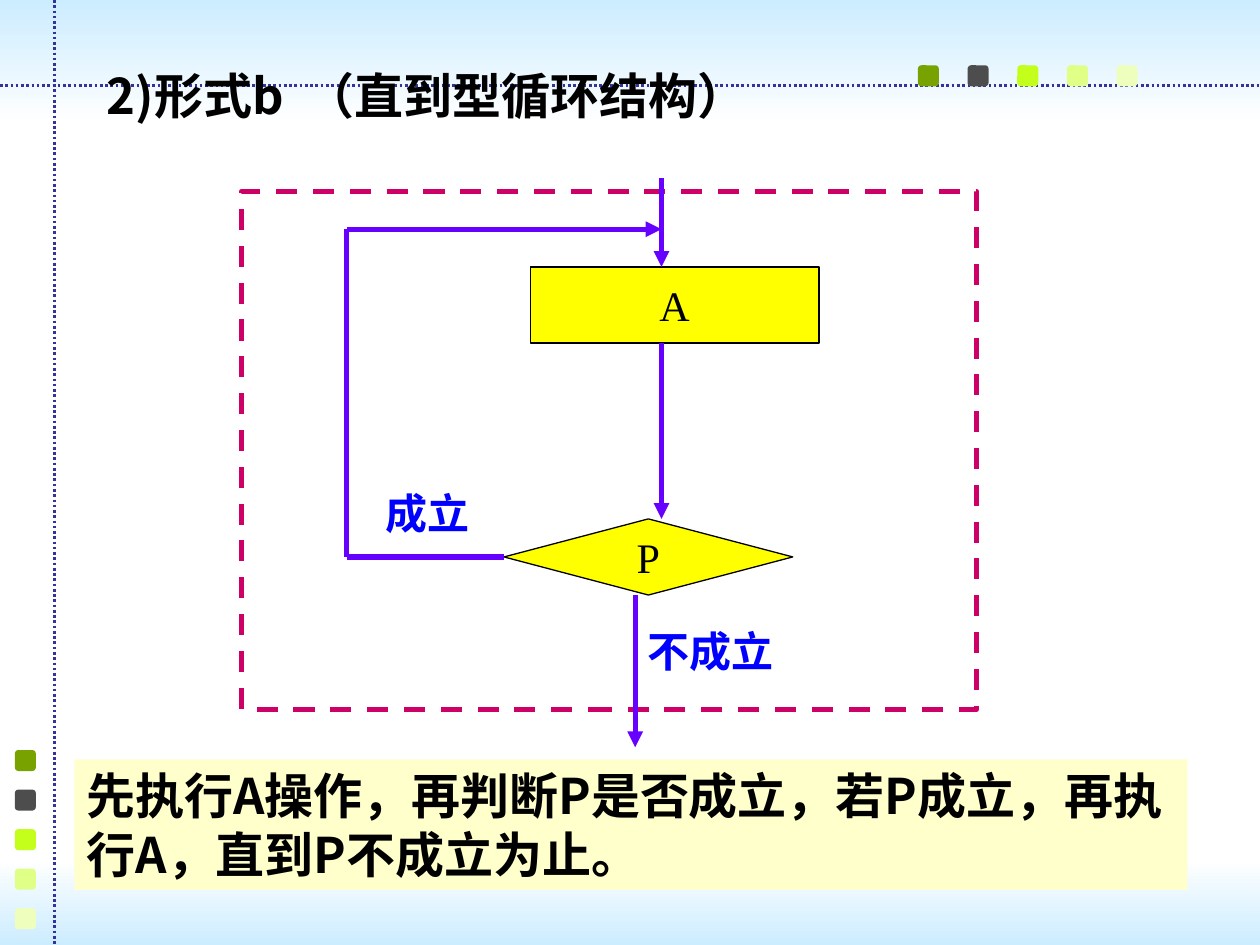
from lxml import etree
from pptx import Presentation
from pptx.dml.color import RGBColor
from pptx.enum.dml import MSO_LINE
from pptx.enum.shapes import MSO_CONNECTOR, MSO_SHAPE
from pptx.enum.text import MSO_ANCHOR, PP_ALIGN
from pptx.oxml.ns import qn
from pptx.util import Pt

RECT = MSO_SHAPE.RECTANGLE
ROUND = MSO_SHAPE.ROUNDED_RECTANGLE
CHOICE = MSO_SHAPE.FLOWCHART_DECISION
STRAIGHT = MSO_CONNECTOR.STRAIGHT
DOT, DASH = MSO_LINE.ROUND_DOT, MSO_LINE.DASH
TOP, MID = MSO_ANCHOR.TOP, MSO_ANCHOR.MIDDLE
LEFT, MIDDLE = PP_ALIGN.LEFT, PP_ALIGN.CENTER

BLACK = RGBColor(0x00, 0x00, 0x00)
WHITE = RGBColor(0xFF, 0xFF, 0xFF)
SKY = RGBColor(0xCC, 0xEC, 0xFF)
NAVY = RGBColor(0x33, 0x33, 0x99)
CREAM = RGBColor(0xFF, 0xFF, 0xCC)
YELLOW = RGBColor(0xFF, 0xFF, 0x00)
PINK = RGBColor(0xCC, 0x00, 0x66)
VIOLET = RGBColor(0x66, 0x00, 0xFF)
BLUE = RGBColor(0x00, 0x00, 0xFF)
BEADS = [RGBColor(0x78, 0xA2, 0x00), RGBColor(0x4D, 0x4D, 0x4D),
         RGBColor(0xC3, 0xFF, 0x1B), RGBColor(0xE0, 0xFF, 0x87),
         RGBColor(0xEE, 0xFF, 0xBD)]

SANS, SERIF = "Noto Sans CJK SC", "Times New Roman"
WIDE, HIGH = 720, 540


class Board:
    """Holds the style and the current slide; lengths are in points."""

    def __init__(self, slide):
        self.shapes = slide.shapes

    def box(self, kind, x, y, w, h, fill=None, line=None, width=0.75, dash=None):
        shape = self.shapes.add_shape(kind, Pt(x), Pt(y), Pt(w), Pt(h))
        shape.shadow.inherit = False
        if fill is None:
            shape.fill.background()
        else:
            shape.fill.solid()
            shape.fill.fore_color.rgb = fill
        if line is None:
            shape.line.fill.background()
        else:
            self.stroke(shape.line, line, width, dash)
        return shape

    def fade(self, y, h, first, last):
        fill = self.box(RECT, 0, y, WIDE, h).fill
        fill.gradient()
        fill.gradient_angle = 270
        for place, (stop, color) in enumerate(zip(fill.gradient_stops, (first, last))):
            stop.color.rgb = color
            stop.position = place

    def stroke(self, line, color, width, dash=None):
        line.color.rgb = color
        line.width = Pt(width)
        if dash is not None:
            line.dash_style = dash

    def line(self, x1, y1, x2, y2, color=VIOLET, width=3, dash=None, arrow=False):
        link = self.shapes.add_connector(STRAIGHT, Pt(x1), Pt(y1), Pt(x2), Pt(y2))
        self.stroke(link.line, color, width, dash)
        if arrow:
            edge = link._element.spPr.find(qn("a:ln"))
            etree.SubElement(edge, qn("a:tailEnd"), type="triangle")
        etree.SubElement(link._element.spPr, qn("a:effectLst"))

    def label(self, shape, words, size, font, color=BLACK, bold=False,
              align=LEFT, anchor=TOP, wrap=True):
        frame = shape.text_frame
        frame.word_wrap = wrap
        frame.vertical_anchor = anchor
        para = frame.paragraphs[0]
        para.text = words
        para.alignment = align
        style = para.font
        style.size, style.bold, style.name = Pt(size), bold, font
        style.color.rgb = color
        # East Asian letters need their own typeface entry
        rules = para._p.pPr.find(qn("a:defRPr"))
        etree.SubElement(rules, qn("a:ea"), typeface=SANS)

    def text(self, x, y, w, h, words, size, font, **look):
        shape = self.shapes.add_textbox(Pt(x), Pt(y), Pt(w), Pt(h))
        self.label(shape, words, size, font, **look)

    def step(self, kind, x, y, name):
        shape = self.box(kind, x, y, 165, 43.5, YELLOW, BLACK)
        self.label(shape, name, 24, SERIF, align=MIDDLE, anchor=MID, wrap=False)

    def beads(self, x, y, dx, dy):
        for i, color in enumerate(BEADS):
            self.box(ROUND, x + i * dx, y + i * dy, 12, 12, color)


def main():
    deck = Presentation()
    deck.slide_width, deck.slide_height = Pt(WIDE), Pt(HIGH)
    board = Board(deck.slides.add_slide(deck.slide_layouts[6]))

    # Backdrop: fading bands, dotted rules and rows of beads
    board.fade(0, 71, SKY, WHITE)
    board.fade(491, 49, WHITE, SKY)
    board.line(0, 49, WIDE, 49, NAVY, 1.5, DOT)
    board.beads(524.5, 37.3, 28.4, 0)
    board.beads(8.5, 428.6, 0, 22.6)
    board.line(31, 0, 31, HIGH, NAVY, 1.5, DOT)

    # Title and summary
    board.text(54, 30, 612, 48, "2)形式b  （直到型循环结构）", 28, SANS,
               bold=True, anchor=MID)
    note = board.box(RECT, 42.5, 434, 636, 74.5, CREAM)
    board.label(note, "先执行A操作，再判断P是否成立，若P成立，再执行A，直到P不成立为止。",
                28, SANS, bold=True)

    # Flow chart: steps and frame
    board.step(RECT, 303, 152.5, "A")
    board.step(CHOICE, 288, 296.5, "P")
    board.box(RECT, 138, 109.3, 420, 296, line=PINK, width=3, dash=DASH)

    # Downward flow
    for x, top, end in ((378, 102, 152.5), (378, 196, 296.5), (363, 340, 427)):
        board.line(x, top, x, end, arrow=True)

    # Loop back
    board.line(198, 318.3, 288, 318.3)
    board.line(198, 318.3, 198, 131)
    board.line(198, 131, 378, 131, arrow=True)

    # Branch labels
    for x, y, words in ((213, 275, "成立"), (363, 354, "不成立")):
        board.text(x, y, 90, 36, words, 24, SERIF, color=BLUE, bold=True)

    deck.save("out.pptx")


if __name__ == "__main__":
    main()
